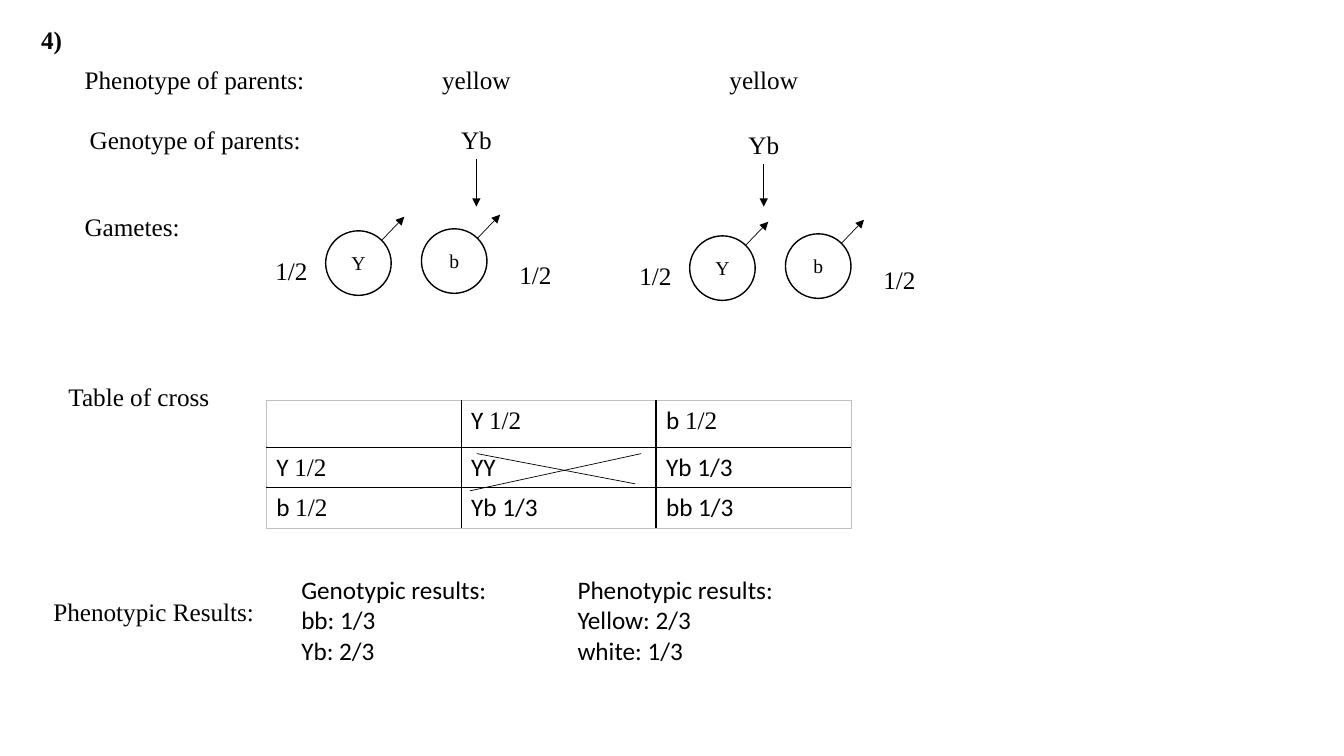
from dataclasses import dataclass

from lxml import etree
from pptx import Presentation
from pptx.dml.color import RGBColor
from pptx.enum.shapes import MSO_CONNECTOR, MSO_SHAPE
from pptx.enum.text import MSO_ANCHOR, MSO_AUTO_SIZE, PP_ALIGN
from pptx.oxml.ns import qn
from pptx.util import Inches, Pt

STRAIGHT = MSO_CONNECTOR.STRAIGHT
ELLIPSE = MSO_SHAPE.OVAL
MIDDLE = MSO_ANCHOR.MIDDLE
FIT = MSO_AUTO_SIZE.SHAPE_TO_FIT_TEXT
LEFT, CENTER = PP_ALIGN.LEFT, PP_ALIGN.CENTER
BOTTOM_SIDE = 2


@dataclass(frozen=True)
class Theme:
    """Colours, fonts and sizes of the slide."""
    ink: str = "000000"
    frame: str = "BFBFBF"
    serif: str = "Times New Roman"
    sans: str = "Calibri"
    body: int = 18
    gamete: int = 14
    thin: float = 0.5
    outline: float = 1


THEME = Theme()

LABELS = [
    ("4)", 0.31, 0.19, 0.41, True),
    ("Phenotype of parents:", 0.74, 0.59, 2.49, False),
    ("Genotype of parents:", 0.79, 1.18, 2.38, False),
    ("Gametes:", 0.74, 2.05, 1.18, False),
    ("Table of cross", 0.58, 3.73, 1.61, False),
    ("Phenotypic Results:", 0.43, 5.87, 2.21, False),
]
CROSS = [
    [("", ""), ("Y ", "1/2"), ("b ", "1/2")],
    [("Y ", "1/2"), ("YY", ""), ("Yb 1/3", "")],
    [("b ", "1/2"), ("Yb 1/3", ""), ("bb 1/3", "")],
]
RESULTS = [
    (2.89, 2.07, ["Genotypic results:", "bb: 1/3", "Yb: 2/3"]),
    (5.63, 2.16, ["Phenotypic results:", "Yellow: 2/3", "white: 1/3"]),
]


def style_run(r, font=THEME.serif, size=THEME.body, bold=False):
    """Format one run."""
    r.font.name = font
    r.font.size = Pt(size)
    r.font.bold = bold
    r.font.color.rgb = RGBColor.from_string(THEME.ink)


def add_text(slide, text, x, y, w, h=0.4, font=THEME.serif, align=LEFT,
             bold=False, wrap=True):
    """Add a text box and return it."""
    sp = slide.shapes.add_textbox(Inches(x), Inches(y), Inches(w), Inches(h))
    tf = sp.text_frame
    tf.word_wrap = wrap
    tf.auto_size = FIT
    tf.text = text
    for p in tf.paragraphs:
        p.alignment = align
        for r in p.runs:
            style_run(r, font, bold=bold)
    return sp


def add_line(shapes, x1, y1, x2, y2, arrow=False):
    """Add a thin straight line, with an arrowhead at its end if asked."""
    line = shapes.add_connector(STRAIGHT, Inches(x1), Inches(y1), Inches(x2), Inches(y2))
    line.line.color.rgb = RGBColor.from_string(THEME.ink)
    line.line.width = Pt(THEME.thin)
    if arrow:
        etree.SubElement(line.line._get_or_add_ln(), qn("a:tailEnd"), type="triangle")
    etree.SubElement(line._element.spPr, qn("a:effectLst"))
    return line


def add_gamete(slide, allele, x, y):
    """Draw a grouped circle and arrow with the circle's corner at x, y."""
    group = slide.shapes.add_group_shape()
    sp = group.shapes.add_shape(ELLIPSE, Inches(x), Inches(y), Inches(0.65), Inches(0.64))
    sp.shadow.inherit = False
    sp.fill.background()
    sp.line.color.rgb = RGBColor.from_string(THEME.ink)
    sp.line.width = Pt(THEME.outline)
    tf = sp.text_frame
    tf.vertical_anchor = MIDDLE
    tf.text = allele
    p = tf.paragraphs[0]
    p.alignment = CENTER
    style_run(p.runs[0], size=THEME.gamete)
    add_line(group.shapes, x + 0.55, y + 0.1, x + 0.78, y - 0.14, arrow=True)


def add_parent(slide, x, y, genotype_y):
    """Draw phenotype, genotype and the arrow down to the gametes."""
    w = 1.91
    add_text(slide, "yellow", x, y, w, align=CENTER)
    genotype = add_text(slide, "Yb", x, genotype_y, w, align=CENTER)
    middle = x + w / 2
    arrow = add_line(slide.shapes, middle, genotype_y + 0.4, middle, 2.05, arrow=True)
    arrow.begin_connect(genotype, BOTTOM_SIDE)


def add_gamete_pair(slide, x, y):
    """Draw both gametes of a parent with their shares on either side."""
    add_gamete(slide, "Y", x + 0.78, y)
    add_gamete(slide, "b", x + 1.73, y - 0.02)
    for dx, dy in [(0, 0.19), (2.42, 0.23)]:
        add_text(slide, "1/2", x + dx, y + dy, 0.88, align=CENTER)


def set_borders(cell, row, col, last):
    """Rule the inner edges in ink and the outer edges in the frame colour."""
    tc_pr = cell._tc.get_or_add_tcPr()
    edges = [("a:lnL", col == 0), ("a:lnR", col == last),
             ("a:lnT", row == 0), ("a:lnB", row == last)]
    for tag, outer in edges:
        width = THEME.thin if outer else THEME.outline
        ln = etree.SubElement(tc_pr, qn(tag), w=str(Pt(width)))
        fill = etree.SubElement(ln, qn("a:solidFill"))
        etree.SubElement(fill, qn("a:srgbClr"), val=THEME.frame if outer else THEME.ink)


def add_cross_table(slide, x, y, w):
    """Draw the table of the cross and strike out its YY cell."""
    n = len(CROSS)
    heights = [0.47, 0.4, 0.4]
    table = slide.shapes.add_table(n, n, Inches(x), Inches(y), Inches(w),
                                   Inches(sum(heights))).table
    table.first_row = table.horz_banding = False
    for i, row in enumerate(CROSS):
        table.rows[i].height = Inches(heights[i])
        for j, (genotype, share) in enumerate(row):
            cell = table.cell(i, j)
            set_borders(cell, i, j, n - 1)
            cell.fill.background()
            p = cell.text_frame.paragraphs[0]
            for text, font in [(genotype, THEME.sans), (share, THEME.serif)]:
                if text:
                    r = p.add_run()
                    r.text = text
                    style_run(r, font)
    add_line(slide.shapes, x + 2.09, y + 0.53, x + 3.66, y + 0.83)
    add_line(slide.shapes, x + 3.72, y + 0.53, x + 2.02, y + 0.9)


def add_labels(slide):
    """Place the question number and the row labels."""
    for text, x, y, w, bold in LABELS:
        add_text(slide, text, x, y, w, bold=bold, wrap=False)


def add_results(slide, y):
    """Place the lists of results side by side."""
    for x, w, lines in RESULTS:
        add_text(slide, "\n".join(lines), x, y, w, 1.01, THEME.sans)


def main():
    """Build and save the slide."""
    prs = Presentation()
    prs.slide_width, prs.slide_height = Inches(13.33), Inches(7.5)
    slide = prs.slides.add_slide(prs.slide_layouts[6])
    add_labels(slide)
    add_parent(slide, 3.77, 0.59, 1.18)
    add_parent(slide, 6.62, 0.59, 1.23)
    add_gamete_pair(slide, 2.45, 2.29)
    add_gamete_pair(slide, 6.06, 2.34)
    add_cross_table(slide, 2.64, 3.97, 5.8)
    add_results(slide, 5.65)
    prs.save("out.pptx")


if __name__ == "__main__":
    main()
